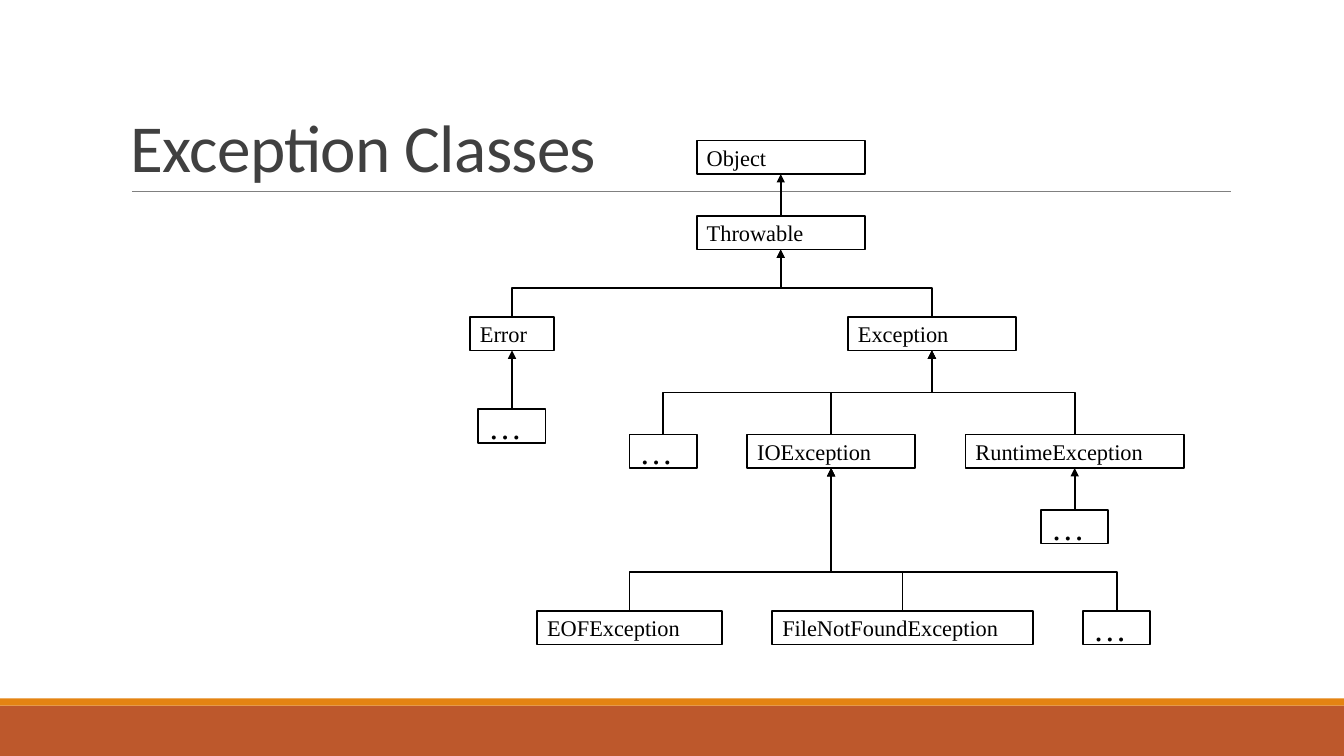
from dataclasses import dataclass
from typing import Any, Optional

import lxml.etree
import pptx
import pptx.dml.color
import pptx.enum.shapes
import pptx.enum.text
import pptx.oxml.ns
import pptx.util

Pt = pptx.util.Pt
qn = pptx.oxml.ns.qn
RGB = pptx.dml.color.RGBColor.from_string
SHAPES = pptx.enum.shapes.MSO_SHAPE
CONNECTORS = pptx.enum.shapes.MSO_CONNECTOR
ANCHORS = pptx.enum.text.MSO_ANCHOR
TOP_SIDE, BOTTOM_SIDE = 0, 2


@dataclass(frozen=True)
class Theme:
    title_font: str = "Calibri"
    class_font: str = "Times New Roman"
    title_size: float = 48
    class_size: float = 16
    more_size: float = 24
    title_color: str = "404040"
    ink: str = "000000"
    paper: str = "FFFFFF"
    rule: str = "808080"
    footer: str = "BD582C"
    footer_edge: str = "E48312"
    rule_width: float = 0.5
    tree_width: float = 1.25


@dataclass(frozen=True)
class Band:
    top: float
    height: float
    color: str


@dataclass(frozen=True)
class ClassNode:
    """A class box; bend is the share of the way up at which its link turns."""
    key: str
    label: str
    center: float
    top: float
    width: float
    parent: Optional[str] = None
    bend: float = 0.5


THEME = Theme()
SLIDE_WIDTH, SLIDE_HEIGHT = 960, 540
BOX_HEIGHT = 24
MORE = "…"
MORE_WIDTH = 48
OBJECT_TOP, THROWABLE_TOP, BRANCH_TOP = 100.3, 154.3, 226.3
ERROR_MORE_TOP, EXCEPTION_TOP, RUNTIME_MORE_TOP, IO_TOP = 292.3, 310.3, 364.3, 436.3
BRANCH_BEND, IO_BEND = 0.43, 0.27

BANDS = [
    Band(504, 36, THEME.footer),
    Band(498.8, 5.2, THEME.footer_edge),
]

NODES = [
    ClassNode("object", "Object", 557.7, OBJECT_TOP, 120),
    ClassNode("throwable", "Throwable", 557.7, THROWABLE_TOP, 120, "object"),
    ClassNode("error", "Error", 365.7, BRANCH_TOP, 60, "throwable", BRANCH_BEND),
    ClassNode("exception", "Exception", 665.7, BRANCH_TOP, 120, "throwable", BRANCH_BEND),
    ClassNode("error more", MORE, 365.7, ERROR_MORE_TOP, MORE_WIDTH, "error"),
    ClassNode("exception more", MORE, 473.7, EXCEPTION_TOP, MORE_WIDTH, "exception"),
    ClassNode("io", "IOException", 593.7, EXCEPTION_TOP, 120, "exception"),
    ClassNode("runtime", "RuntimeException", 767.7, EXCEPTION_TOP, 156, "exception"),
    ClassNode("runtime more", MORE, 767.7, RUNTIME_MORE_TOP, MORE_WIDTH, "runtime"),
    ClassNode("eof", "EOFException", 449.7, IO_TOP, 132, "io", IO_BEND),
    ClassNode("not found", "FileNotFoundException", 644.7, IO_TOP, 186, "io", IO_BEND),
    ClassNode("io more", MORE, 797.7, IO_TOP, MORE_WIDTH, "io", IO_BEND),
]


def add_span(para: Any, text: str, font: str, size: float, color: str) -> Any:
    span = para.add_run()
    span.text = text
    span.font.name = font
    span.font.size = Pt(size)
    span.font.color.rgb = RGB(color)
    return span


def fill_shape(shape: Any, color: str) -> None:
    shape.shadow.inherit = False
    shape.fill.solid()
    shape.fill.fore_color.rgb = RGB(color)


def style_connector(connector: Any, color: str, width: float) -> None:
    connector.line.color.rgb = RGB(color)
    connector.line.width = Pt(width)
    lxml.etree.SubElement(connector._element.spPr, qn("a:effectLst"))


def add_band(page: Any, band: Band) -> None:
    shape = page.shapes.add_shape(
        SHAPES.RECTANGLE, 0, Pt(band.top), Pt(SLIDE_WIDTH), Pt(band.height))
    fill_shape(shape, band.color)
    shape.line.fill.background()


def add_title(page: Any, text: str) -> None:
    box = page.shapes.add_textbox(Pt(86.4), Pt(22.5), Pt(792), Pt(114.3))
    frame = box.text_frame
    frame.word_wrap = True
    frame.vertical_anchor = ANCHORS.BOTTOM
    para = frame.paragraphs[0]
    para.line_spacing = 0.85
    span = add_span(para, text, THEME.title_font, THEME.title_size, THEME.title_color)
    span.font._element.set("spc", "-50")


def add_title_rule(page: Any) -> None:
    rule = page.shapes.add_connector(
        CONNECTORS.STRAIGHT, Pt(94.3), Pt(136.8), Pt(879), Pt(136.8))
    style_connector(rule, THEME.rule, THEME.rule_width)


def add_class_box(page: Any, node: ClassNode) -> Any:
    box = page.shapes.add_shape(
        SHAPES.RECTANGLE, Pt(node.center - node.width / 2), Pt(node.top),
        Pt(node.width), Pt(BOX_HEIGHT))
    fill_shape(box, THEME.paper)
    box.line.color.rgb = RGB(THEME.ink)
    box.line.width = Pt(THEME.tree_width)
    frame = box.text_frame
    frame.word_wrap = False
    frame.vertical_anchor = ANCHORS.MIDDLE
    para = frame.paragraphs[0]
    para.alignment = pptx.enum.text.PP_ALIGN.LEFT
    size = THEME.more_size if node.label == MORE else THEME.class_size
    add_span(para, node.label, THEME.class_font, size, THEME.ink)
    return box


def turn_elbow(connector: Any, child: ClassNode, parent: ClassNode) -> None:
    """Rotate the elbow so that it leaves the child upwards and enters the parent from below."""
    rise = child.top - parent.top - BOX_HEIGHT
    run = abs(parent.center - child.center)
    connector.left = Pt((child.center + parent.center - rise) / 2)
    connector.top = Pt(child.top - (rise + run) / 2)
    connector.width, connector.height = Pt(rise), Pt(run)
    properties = connector._element.spPr
    frame = properties.find(qn("a:xfrm"))
    child_is_right = child.center > parent.center
    frame.set("rot", str((90 if child_is_right else 270) * 60000))
    frame.set("flipH", "1" if child_is_right else "0")
    frame.set("flipV", "0")
    adjustments = properties.find(qn("a:prstGeom")).find(qn("a:avLst"))
    lxml.etree.SubElement(adjustments, qn("a:gd"), name="adj1",
                          fmla=f"val {round(child.bend * 100000)}")


def link_classes(page: Any, child: ClassNode, parent: ClassNode, boxes: dict[str, Any]) -> None:
    straight = child.center == parent.center
    connector = page.shapes.add_connector(
        CONNECTORS.STRAIGHT if straight else CONNECTORS.ELBOW,
        Pt(child.center), Pt(child.top), Pt(parent.center), Pt(parent.top + BOX_HEIGHT))
    connector.begin_connect(boxes[child.key], TOP_SIDE)
    connector.end_connect(boxes[parent.key], BOTTOM_SIDE)
    if not straight:
        turn_elbow(connector, child, parent)
    style_connector(connector, THEME.ink, THEME.tree_width)
    line = connector._element.spPr.find(qn("a:ln"))
    lxml.etree.SubElement(line, qn("a:tailEnd"), type="triangle")


def main() -> None:
    deck = pptx.Presentation()
    deck.slide_width, deck.slide_height = Pt(SLIDE_WIDTH), Pt(SLIDE_HEIGHT)
    page = deck.slides.add_slide(deck.slide_layouts[6])
    for band in BANDS:
        add_band(page, band)
    add_title_rule(page)
    add_title(page, "Exception Classes")
    nodes = {node.key: node for node in NODES}
    boxes = {node.key: add_class_box(page, node) for node in NODES}
    for node in NODES:
        if node.parent:
            link_classes(page, node, nodes[node.parent], boxes)
    deck.save("out.pptx")


if __name__ == "__main__":
    main()
